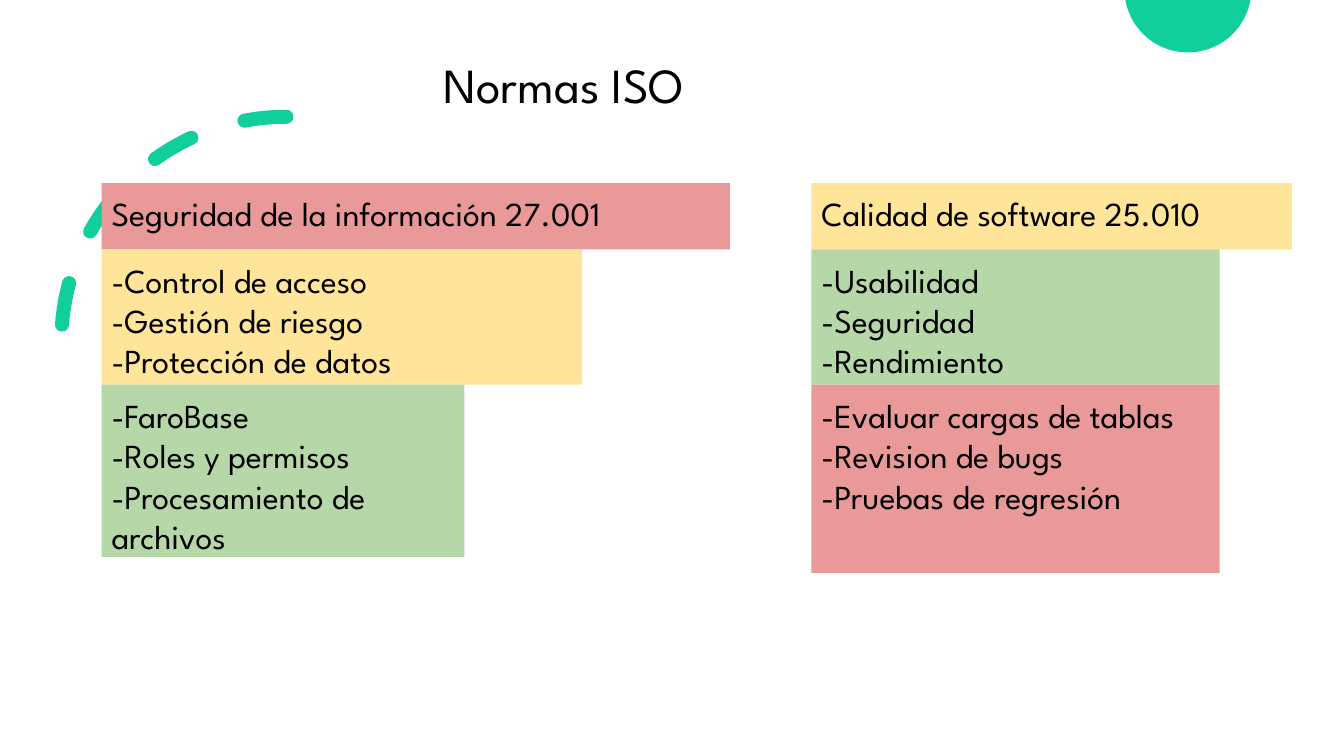
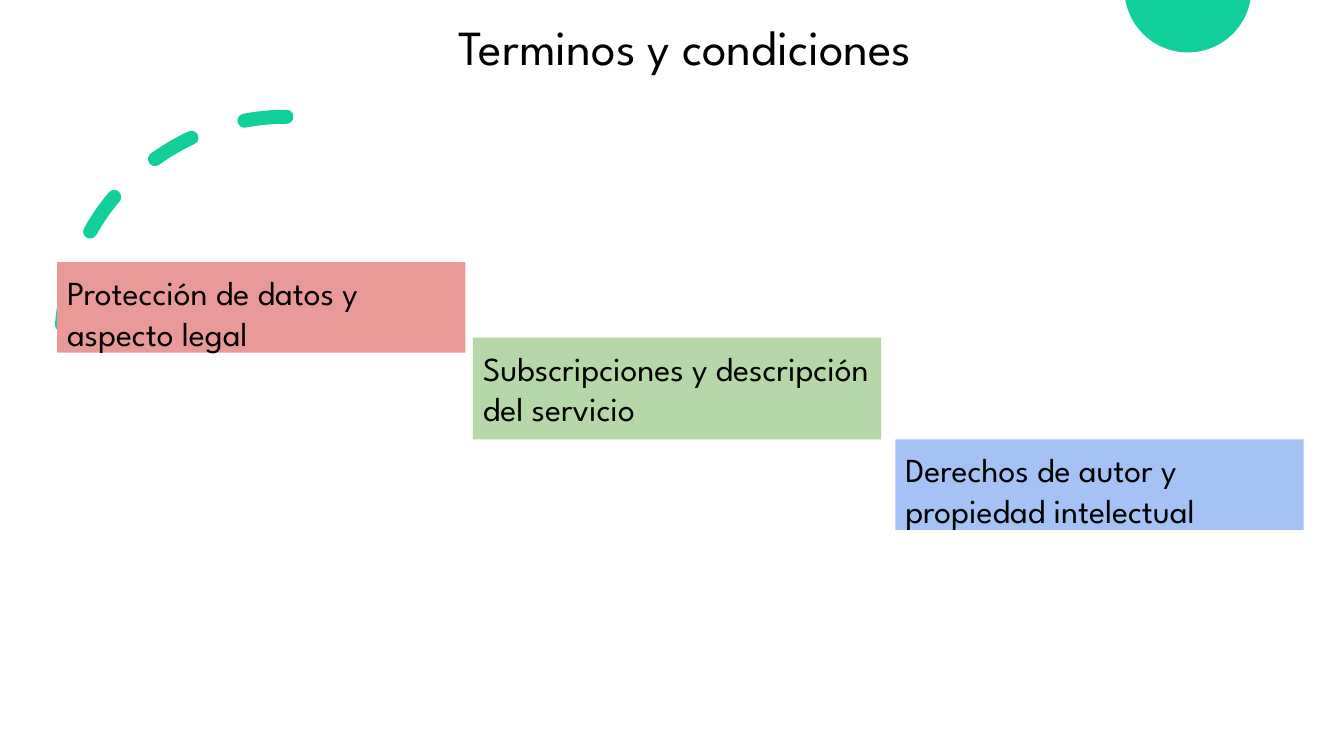
import math
import pptx
import pptx.dml.color
import pptx.enum.dml
import pptx.enum.shapes
import pptx.enum.text
import pptx.util

COLORS = {
    "ink": "000000",
    "accent": "10CF9B",
    "red": "EA9999",
    "yellow": "FFE599",
    "green": "B6D7A8",
    "blue": "A4C2F4",
}
FONT = "League Spartan"
COLUMNS, ROWS = 160, 90
SHAPES = pptx.enum.shapes.MSO_SHAPE
ANCHOR = pptx.enum.text.MSO_ANCHOR
ALIGN = pptx.enum.text.PP_ALIGN

deck = pptx.Presentation()
deck.slide_height = pptx.util.Inches(7.5)
CELL = deck.slide_height // ROWS
deck.slide_width = CELL * COLUMNS


def rgb(name):
    return pptx.dml.color.RGBColor.from_string(COLORS[name])


def add_text(slide, text, area, fill=None, size=24, anchor=ANCHOR.TOP,
             align=ALIGN.LEFT, spacing=1.0, inset=0.1):
    box = [round(cells * CELL) for cells in area]
    if fill:
        holder = slide.shapes.add_shape(SHAPES.RECTANGLE, *box)
        holder.shadow.inherit = False
        holder.fill.solid()
        holder.fill.fore_color.rgb = rgb(fill)
        holder.line.fill.background()
    else:
        holder = slide.shapes.add_textbox(*box)
    frame = holder.text_frame
    frame.word_wrap = True
    frame.vertical_anchor = anchor
    frame.margin_left = frame.margin_right = pptx.util.Inches(0.1)
    frame.margin_top = frame.margin_bottom = pptx.util.Inches(inset)
    frame.text = text
    for paragraph in frame.paragraphs:
        paragraph.alignment = align
        paragraph.line_spacing = spacing
        for run in paragraph.runs:
            run.font.name = FONT
            run.font.size = pptx.util.Pt(size)
            run.font.color.rgb = rgb("ink")


def start_slide(title, area, align):
    slide = deck.slides.add_slide(deck.slide_layouts[6])

    center_x, center_y, radius, steps = 141.42, -1.32, 7.56, 60
    first = math.asin(-center_y / radius)
    sweep = math.pi - 2 * first
    rim = []
    for step in range(steps + 1):
        angle = first + sweep * step / steps
        rim.append((round((center_x + radius * math.cos(angle)) * CELL),
                    round((center_y + radius * math.sin(angle)) * CELL)))
    outline = slide.shapes.build_freeform(*rim[0])
    outline.add_line_segments(rim[1:], close=True)
    half_disc = outline.convert_to_shape()
    half_disc.shadow.inherit = False
    half_disc.fill.solid()
    half_disc.fill.fore_color.rgb = rgb("accent")
    half_disc.line.fill.background()

    dashed_arc = slide.shapes.add_shape(
        SHAPES.ARC, *[round(cells * CELL) for cells in (7.3, 13.9, 53.6, 53.6)])
    dashed_arc.shadow.inherit = False
    dashed_arc.fill.background()
    dashed_arc.line.color.rgb = rgb("accent")
    dashed_arc.line.width = pptx.util.Pt(10)
    dashed_arc.line.dash_style = pptx.enum.dml.MSO_LINE.DASH
    properties = dashed_arc._element.spPr
    properties.find(pptx.oxml.ns.qn("a:xfrm")).set("flipH", "1")
    properties.find(pptx.oxml.ns.qn("a:ln")).set("cap", "rnd")

    add_text(slide, title, area, size=35, anchor=ANCHOR.BOTTOM,
             align=align, spacing=0.9, inset=0.05)
    return slide


standards = start_slide("Normas ISO", (51.6, 5.6, 74.8, 8.6), ALIGN.LEFT)
standard_columns = [
    (12.1, [
        ("red", 74.8, 7.9, ["Seguridad de la información 27.001"]),
        ("yellow", 57.2, 16.1,
         ["-Control de acceso", "-Gestión de riesgo", "-Protección de datos"]),
        ("green", 43.2, 20.5,
         ["-FaroBase", "-Roles y permisos", "-Procesamiento de archivos"]),
    ]),
    (96.6, [
        ("yellow", 57.2, 7.9, ["Calidad de software 25.010"]),
        ("green", 48.6, 16.1, ["-Usabilidad", "-Seguridad", "-Rendimiento"]),
        ("red", 48.6, 22.4,
         ["-Evaluar cargas de tablas", "-Revision de bugs",
          "-Pruebas de regresión"]),
    ]),
]
for left, blocks in standard_columns:
    top = 21.8
    for fill, width, height, lines in blocks:
        add_text(standards, "\n".join(lines), (left, top, width, height), fill=fill)
        top += height

terms = start_slide("Terminos y condiciones", (42.8, 1.8, 77.6, 7.8), ALIGN.CENTER)
for fill, left, top, height, clause in [
    ("red", 6.8, 31.2, 10.8, "Protección de datos y aspecto legal"),
    ("green", 56.3, 40.2, 12.1, "Subscripciones y descripción del servicio"),
    ("blue", 106.6, 52.3, 10.8, "Derechos de autor y propiedad intelectual"),
]:
    add_text(terms, clause, (left, top, 48.6, height), fill=fill)

deck.save("out.pptx")
